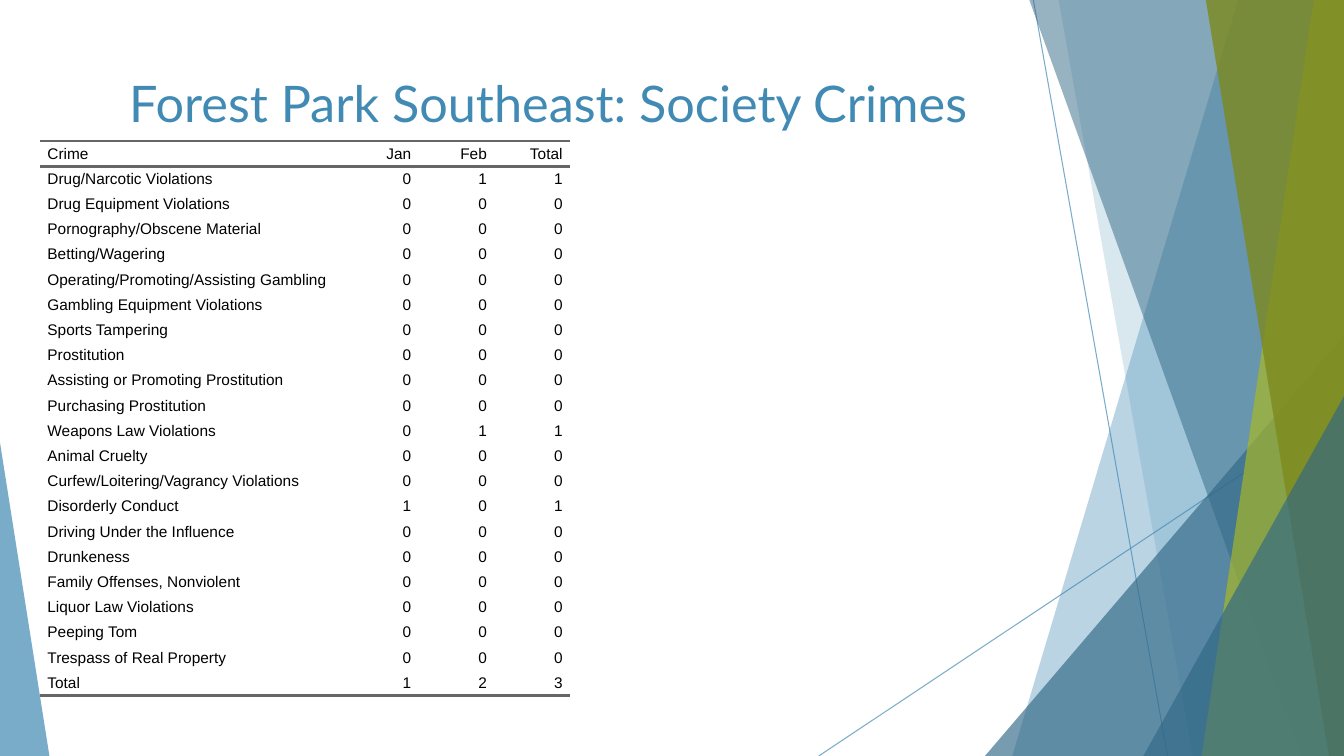
"""Build the Forest Park Southeast society crimes slide."""
from dataclasses import dataclass

from lxml.etree import SubElement
from pptx import Presentation
from pptx.dml.color import RGBColor
from pptx.enum.shapes import MSO_CONNECTOR as Connector, MSO_SHAPE as Shape
from pptx.enum.text import MSO_ANCHOR as Anchor, MSO_AUTO_SIZE as AutoSize, PP_ALIGN as Align
from pptx.oxml import parse_xml
from pptx.oxml.ns import nsdecls, qn
from pptx.util import Inches, Pt


@dataclass(frozen=True)
class Theme:
    blue: str = "418AB3"
    navy: str = "316886"
    lime: str = "A6B727"
    olive: str = "7D891D"
    ink: str = "000000"
    rule: str = "666666"
    title_font: str = "Lato"
    table_font: str = "Arial"
    title_size: int = 36
    table_size: int = 11


def tint(paint, color, alpha):
    paint.solid()
    paint.fore_color.rgb = RGBColor.from_string(color)
    for value in paint._xPr.iter(qn("a:srgbClr")):
        SubElement(value, qn("a:alpha"), val=str(alpha * 1000))


def write(frame, text, *, font, size, color, align, anchor):
    frame.text = text
    frame.vertical_anchor = anchor
    line = frame.paragraphs[0]
    line.alignment = align
    line.font.name = font
    line.font.size = Pt(size)
    line.font.color.rgb = RGBColor.from_string(color)


theme = Theme()
deck = Presentation()
deck.slide_width, deck.slide_height = Inches(13.33), Inches(7.5)
col, row = deck.slide_width / 100, deck.slide_height / 100
slide = deck.slides.add_slide(deck.slide_layouts[5])

rays = [(76.89, 0, 86.87, 100), (100, 53.73, 60.92, 100)]
for x1, y1, x2, y2 in rays:
    ray = slide.shapes.add_connector(
        Connector.STRAIGHT, int(x1 * col), int(y1 * row), int(x2 * col), int(y2 * row))
    ray.line.width = Pt(0.75)
    tint(ray.line.fill, theme.blue, 70)
    SubElement(ray._element.spPr, qn("a:effectLst"))

facets = [
    ("band", 92.12, 75.32, theme.blue, 36),
    ("band", 78.77, 88.75, theme.blue, 20),
    ("corner", 73.29, 44.4, theme.navy, 66),
    ("band", 76.59, 96.85, theme.navy, 50),
    ("band", 97.75, 89.42, theme.lime, 70),
    ("band", 89.72, 98.87, theme.olive, 80),
    ("corner", 85.07, 52.4, theme.navy, 66),
    ("wedge", 3.68, 58.53, theme.blue, 70),
]
for kind, first, second, color, alpha in facets:
    if kind == "band":
        outline = slide.shapes.build_freeform(int(first * col), 0)
        outline.add_line_segments([
            (int(x * col), int(y * row)) for x, y in [(100, 0), (100, 100), (second, 100)]])
        facet = outline.convert_to_shape()
    else:
        left, right = (first, 100) if kind == "corner" else (0, first)
        facet = slide.shapes.add_shape(
            Shape.ISOSCELES_TRIANGLE, int(left * col), int(second * row),
            int((right - left) * col), int((100 - second) * row))
        facet.adjustments[0] = 1 if kind == "corner" else 0
    facet.shadow.inherit = False
    facet.line.fill.background()
    tint(facet.fill, color, alpha)

offenses = [
    "Drug/Narcotic Violations", "Drug Equipment Violations", "Pornography/Obscene Material",
    "Betting/Wagering", "Operating/Promoting/Assisting Gambling",
    "Gambling Equipment Violations", "Sports Tampering", "Prostitution",
    "Assisting or Promoting Prostitution", "Purchasing Prostitution",
    "Weapons Law Violations", "Animal Cruelty", "Curfew/Loitering/Vagrancy Violations",
    "Disorderly Conduct", "Driving Under the Influence", "Drunkeness",
    "Family Offenses, Nonviolent", "Liquor Law Violations", "Peeping Tom",
    "Trespass of Real Property",
]
reported = {
    "Drug/Narcotic Violations": (0, 1),
    "Weapons Law Violations": (0, 1),
    "Disorderly Conduct": (1, 0),
}
counts = [reported.get(offense, (0, 0)) for offense in offenses]
offenses.append("Total")
counts.append(tuple(map(sum, zip(*counts))))
records = [("Crime", "Jan", "Feb", "Total")]
records += [(offense, *months, sum(months)) for offense, months in zip(offenses, counts)]

widths = [22.5, 5.63, 5.63, 5.63]
row_height = 100 / 30
crimes_frame = slide.shapes.add_table(
    len(records), len(widths), int(3 * col), int(18.67 * row),
    int(sum(widths) * col), int(len(records) * row_height * row))
crimes = crimes_frame.table
crimes.first_row = crimes.horz_banding = False
for style in crimes_frame._element.iter(qn("a:tableStyleId")):
    style.text = "{2D5ABB26-0587-4C30-8999-92F81FD0307C}"
for column, width in zip(crimes.columns, widths):
    column.width = int(width * col)

edges = {0: ("lnT", "lnB"), len(records) - 1: ("lnB",)}
for r, record in enumerate(records):
    crimes.rows[r].height = int(row_height * row)
    for c, entry in enumerate(record):
        cell = crimes.cell(r, c)
        cell.margin_left = cell.margin_right = int(0.53 * col)
        cell.margin_top = cell.margin_bottom = 0
        cell.fill.background()
        write(cell.text_frame, str(entry), font=theme.table_font, size=theme.table_size,
              color=theme.ink, align=Align.RIGHT if c else Align.LEFT, anchor=Anchor.MIDDLE)
        cell.vertical_anchor = Anchor.MIDDLE
        for place, edge in enumerate(edges.get(r, ())):
            cell._tc.tcPr.insert(place, parse_xml(
                f'<a:{edge} {nsdecls("a")} w="{Pt(2)}"><a:solidFill>'
                f'<a:srgbClr val="{theme.rule}"/></a:solidFill></a:{edge}>'))

heading = slide.shapes.title
heading.left, heading.top = int(5.55 * col), int(8.93 * row)
heading.width, heading.height = int(70.5 * col), int(19.2 * row)
write(heading.text_frame, "Forest Park Southeast: Society Crimes", font=theme.title_font,
      size=theme.title_size, color=theme.blue, align=Align.CENTER, anchor=Anchor.TOP)
heading.text_frame.auto_size = AutoSize.NONE

deck.save("out.pptx")
